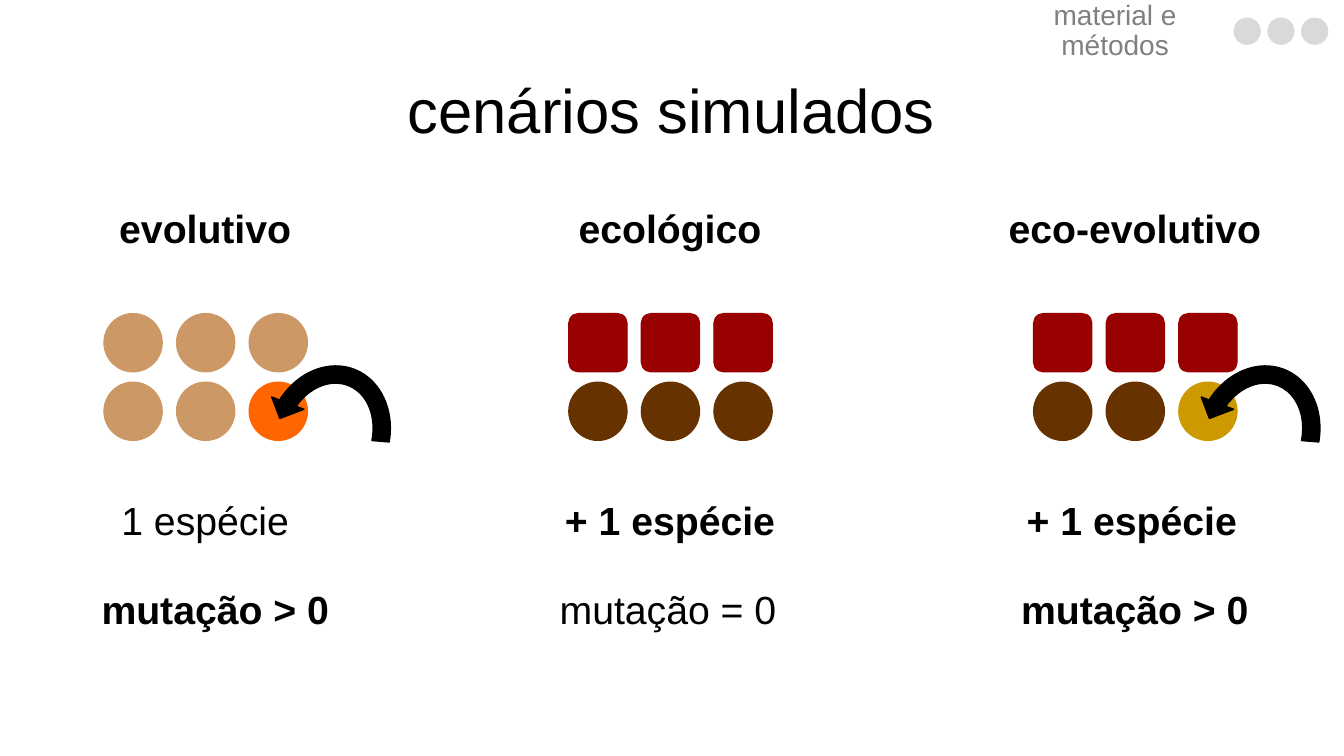
from dataclasses import dataclass

from pptx import Presentation
from pptx import util as u
from pptx.dml.color import RGBColor
from pptx.enum import shapes, text

BLACK = RGBColor(0x00, 0x00, 0x00)
GRAY = RGBColor(0x80, 0x80, 0x80)
LIGHT_GRAY = RGBColor(0xD9, 0xD9, 0xD9)
TAN = RGBColor(0xCC, 0x99, 0x66)
ORANGE = RGBColor(0xFF, 0x66, 0x00)
RED = RGBColor(0x99, 0x00, 0x00)
BROWN = RGBColor(0x66, 0x33, 0x00)
GOLD = RGBColor(0xCC, 0x99, 0x00)

CIRCLE = shapes.MSO_SHAPE.OVAL
SQUARE = shapes.MSO_SHAPE.ROUNDED_RECTANGLE

# Scenario columns, in inches
COLUMN_LEFT, COLUMN_PITCH = 0.65, 4.61
LABEL_W, LABEL_H = 2.77, 1.45
HEADING_TOP, SPECIES_TOP, MUTATION_TOP = 1.56, 4.46, 5.34

# Individuals inside a column
INDENT, GRID_TOP, INDIVIDUAL = 0.38, 3.11, 0.58
PITCH_X, PITCH_Y, PER_ROW = 0.72, 0.68, 3

# Progress dots
DOT_LEFT, DOT_TOP, DOT, DOT_PITCH, DOT_COUNT = 12.24, 0.18, 0.26, 0.335, 3


@dataclass(frozen=True)
class Label:
    wording: str
    bold: bool = True
    shift: float = 0.0


@dataclass(frozen=True)
class Population:
    form: shapes.MSO_SHAPE
    color: RGBColor


@dataclass(frozen=True)
class Scenario:
    heading: Label
    populations: tuple[Population, Population]
    species: Label
    mutation: Label
    mutant: RGBColor | None = None


ONE_SPECIES = (Population(CIRCLE, TAN),) * 2
TWO_SPECIES = (Population(SQUARE, RED), Population(CIRCLE, BROWN))

SCENARIOS = (
    Scenario(Label("evolutivo"), ONE_SPECIES, Label("1 espécie", bold=False),
             Label("mutação > 0", shift=0.1), ORANGE),
    Scenario(Label("ecológico"), TWO_SPECIES, Label("+ 1 espécie"),
             Label("mutação = 0", bold=False, shift=-0.02)),
    Scenario(Label("eco-evolutivo"), TWO_SPECIES, Label("+ 1 espécie", shift=-0.03),
             Label("mutação > 0"), GOLD),
)


def write(box, wording: str, size: float, color: RGBColor, bold: bool = False) -> None:
    frame = box.text_frame
    frame.word_wrap = True
    frame.auto_size = text.MSO_AUTO_SIZE.NONE
    frame.vertical_anchor = text.MSO_ANCHOR.MIDDLE
    frame.text = wording
    paragraph = frame.paragraphs[0]
    paragraph.alignment = text.PP_ALIGN.CENTER
    paragraph.line_spacing = 0.9
    font = paragraph.runs[0].font
    font.name, font.size, font.bold = "Arial", u.Pt(size), bold
    font.color.rgb = color


def add_text(slide, left: float, top: float, width: float, height: float,
             wording: str, size: float, color: RGBColor, bold: bool = False) -> None:
    box = slide.shapes.add_textbox(*map(u.Inches, (left, top, width, height)))
    write(box, wording, size, color, bold)


def add_figure(slide, form, left: float, top: float, width: float, height: float,
               color: RGBColor, line_width: float = 0):
    figure = slide.shapes.add_shape(form, *map(u.Inches, (left, top, width, height)))
    figure.shadow.inherit = False
    figure.fill.solid()
    figure.fill.fore_color.rgb = color
    figure.line.color.rgb = color
    figure.line.width = u.Pt(line_width)
    return figure


def add_mutation_arrow(slide, column_left: float) -> None:
    """Draw the curved arrow that points at the mutant."""
    arrow = add_figure(slide, shapes.MSO_SHAPE.CIRCULAR_ARROW,
                       column_left + 1.92, 3.53, 1.37, 1.61, BLACK, 1)
    for index, value in enumerate((0.125, 11.42319, 204.57681, 117.73, 0.125)):
        arrow.adjustments[index] = value
    arrow.rotation = 200.9
    arrow._element.spPr.xfrm.set("flipV", "1")


def add_scenario(slide, column: int, scenario: Scenario) -> None:
    left = COLUMN_LEFT + column * COLUMN_PITCH
    for label, top in ((scenario.heading, HEADING_TOP),
                       (scenario.species, SPECIES_TOP),
                       (scenario.mutation, MUTATION_TOP)):
        add_text(slide, left + label.shift, top, LABEL_W, LABEL_H,
                 label.wording, 28, BLACK, label.bold)
    for row, population in enumerate(scenario.populations):
        for place in range(PER_ROW):
            is_last = (row, place) == (len(scenario.populations) - 1, PER_ROW - 1)
            color = scenario.mutant if is_last and scenario.mutant else population.color
            add_figure(slide, population.form, left + INDENT + place * PITCH_X,
                       GRID_TOP + row * PITCH_Y, INDIVIDUAL, INDIVIDUAL, color)
    if scenario.mutant:
        add_mutation_arrow(slide, left)


def main() -> None:
    deck = Presentation()
    deck.slide_width, deck.slide_height = u.Inches(13.33), u.Inches(7.5)
    slide = deck.slides.add_slide(deck.slide_layouts[5])

    title = slide.shapes.title
    title.left, title.top = u.Inches(0.56), u.Inches(0.4)
    title.width, title.height = u.Inches(12.2), u.Inches(1.45)
    write(title, "cenários simulados", 44, BLACK)

    add_text(slide, 9.85, 0.08, 2.42, 0.47, "material e métodos", 20, GRAY)
    for index in range(DOT_COUNT):
        add_figure(slide, CIRCLE, DOT_LEFT + index * DOT_PITCH, DOT_TOP,
                   DOT, DOT, LIGHT_GRAY)

    for column, scenario in enumerate(SCENARIOS):
        add_scenario(slide, column, scenario)

    deck.save("out.pptx")


if __name__ == "__main__":
    main()
